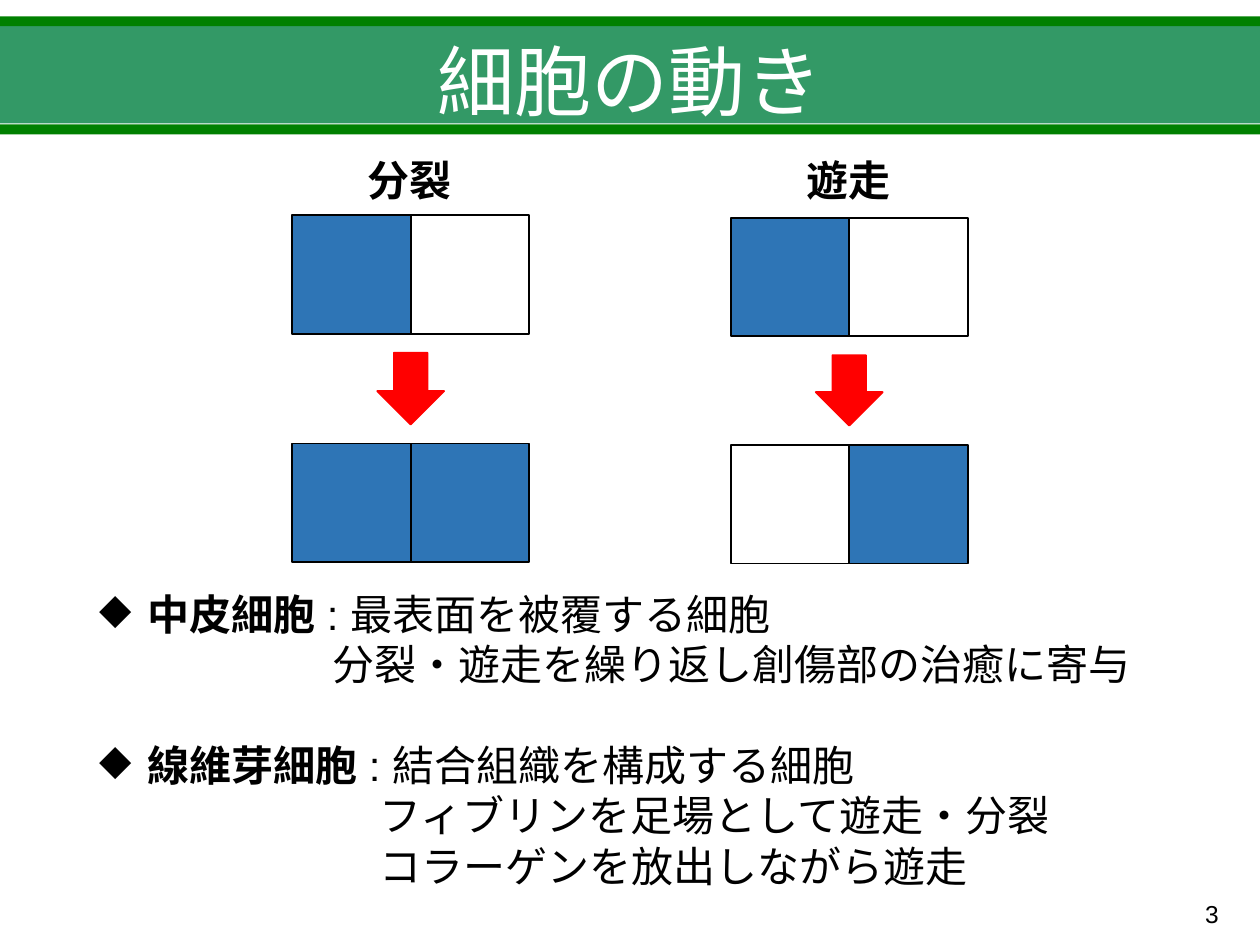
from dataclasses import dataclass
from typing import Optional

from lxml import etree
from pptx import Presentation
from pptx import util as u
from pptx.dml.color import RGBColor
from pptx.enum import shapes, text
from pptx.oxml import ns

BLACK = RGBColor(0x00, 0x00, 0x00)
WHITE = RGBColor(0xFF, 0xFF, 0xFF)
BLUE = RGBColor(0x2E, 0x75, 0xB6)
RED = RGBColor(0xFF, 0x00, 0x00)
BAND_GREEN = RGBColor(0x33, 0x99, 0x66)
EDGE_GREEN = RGBColor(0x00, 0x80, 0x00)

SLIDE_W, SLIDE_H = 25.4, 19.05
CELL = 2.39
ARROW_W = 1.35
LABEL_W = 2.24
RECT = shapes.MSO_SHAPE.RECTANGLE


@dataclass
class Movement:
    label: str
    left: float
    before_top: float
    before: tuple
    arrow_top: float
    arrow_h: float
    after_top: float
    after: tuple


@dataclass
class Line:
    words: str
    term: str = ""
    indent: float = 0.97
    gap: float = 0


MOVEMENTS = [
    Movement("分裂", 5.89, 4.34, (BLUE, WHITE), 7.11, 1.45, 8.94, (BLUE, BLUE)),
    Movement("遊走", 14.73, 4.39, (BLUE, WHITE), 7.16, 1.42, 8.97, (None, BLUE)),
]
LINES = [
    Line(": 最表面を被覆する細胞", "中皮細胞 "),
    Line("分裂・遊走を繰り返し創傷部の治癒に寄与", indent=4.7),
    Line(": 結合組織を構成する細胞", "線維芽細胞 ", gap=28.8),
    Line("フィブリンを足場として遊走・分裂", indent=5.65),
    Line("コラーゲンを放出しながら遊走", indent=5.65),
]


def add_block(s, kind, left: float, top: float, w: float, h: float,
              fill: Optional[RGBColor], line: Optional[RGBColor] = None):
    sp = s.shapes.add_shape(kind, u.Cm(left), u.Cm(top), u.Cm(w), u.Cm(h))
    sp.shadow.inherit = False
    if fill is None:
        sp.fill.background()
    else:
        sp.fill.solid()
        sp.fill.fore_color.rgb = fill
    if line is None:
        sp.line.fill.background()
    else:
        sp.line.color.rgb = line
        sp.line.width = u.Pt(1)


def add_box(s, left: float, top: float, w: float, h: float, wrap: bool):
    tf = s.shapes.add_textbox(u.Cm(left), u.Cm(top), u.Cm(w), u.Cm(h)).text_frame
    tf.word_wrap = wrap
    return tf


def format_run(r, size: float, color: RGBColor, bold: bool = False,
               font: str = "Arial") -> None:
    r.font.name = font
    r.font.size = u.Pt(size)
    r.font.bold = bold
    r.font.color.rgb = color
    etree.SubElement(r.font._element, ns.qn("a:ea")).set("typeface", font)


def add_movement(s, m: Movement) -> None:
    middle = m.left + CELL
    for top, fills in ((m.after_top, m.after), (m.before_top, m.before)):
        for i, fill in enumerate(fills):
            add_block(s, RECT, m.left + i * CELL, top, CELL, CELL, fill, BLACK)
    tf = add_box(s, middle - LABEL_W / 2, 3, LABEL_W, 1.27, False)
    tf.text = m.label
    format_run(tf.paragraphs[0].runs[0], 24, BLACK, True)
    add_block(s, shapes.MSO_SHAPE.DOWN_ARROW, middle - ARROW_W / 2,
              m.arrow_top, ARROW_W, m.arrow_h, RED, RED)


def add_line(p, line: Line) -> None:
    pPr = p._p.get_or_add_pPr()
    pPr.set("marL", str(u.Cm(line.indent)))
    if line.gap:
        p.space_before = u.Pt(line.gap)
    if line.term:
        pPr.set("indent", str(-u.Cm(line.indent)))
        etree.SubElement(pPr, ns.qn("a:buChar")).set("char", "◆")
        r = p.add_run()
        r.text = line.term
        format_run(r, 24, BLACK, True)
    r = p.add_run()
    r.text = line.words
    format_run(r, 24, BLACK)


def main() -> None:
    prs = Presentation()
    prs.slide_width, prs.slide_height = u.Cm(SLIDE_W), u.Cm(SLIDE_H)
    s = prs.slides.add_slide(prs.slide_layouts[5])

    # Title band
    for top, h, fill in ((0.48, 2.01, BAND_GREEN), (2.51, 0.2, EDGE_GREEN),
                         (0.33, 0.2, EDGE_GREEN)):
        add_block(s, RECT, 0, top, SLIDE_W, h, fill)

    # Title, brought in front of the band
    title = s.shapes.title
    title.left, title.top = u.Cm(0), u.Cm(0.71)
    title.width, title.height = u.Cm(SLIDE_W), u.Cm(2.01)
    tf = title.text_frame
    tf.text = "細胞の動き"
    tf.vertical_anchor = text.MSO_ANCHOR.MIDDLE
    p = tf.paragraphs[0]
    p.alignment = text.PP_ALIGN.CENTER
    p.line_spacing = 0.9
    format_run(p.runs[0], 44, WHITE, font="Noto Sans CJK JP")
    s.shapes._spTree.append(title._element)

    # Slide number
    tf = add_box(s, 23.42, 17.91, 1.4, 1.02, True)
    tf.text = "3"
    tf.vertical_anchor = text.MSO_ANCHOR.MIDDLE
    tf.paragraphs[0].alignment = text.PP_ALIGN.RIGHT
    format_run(tf.paragraphs[0].runs[0], 14, BLACK)

    # Cell descriptions
    tf = add_box(s, 1.75, 11.73, 22.68, 6.4, True)
    for i, line in enumerate(LINES):
        add_line(tf.add_paragraph() if i else tf.paragraphs[0], line)

    # Cell diagrams
    for m in MOVEMENTS:
        add_movement(s, m)

    prs.save("out.pptx")


if __name__ == "__main__":
    main()
